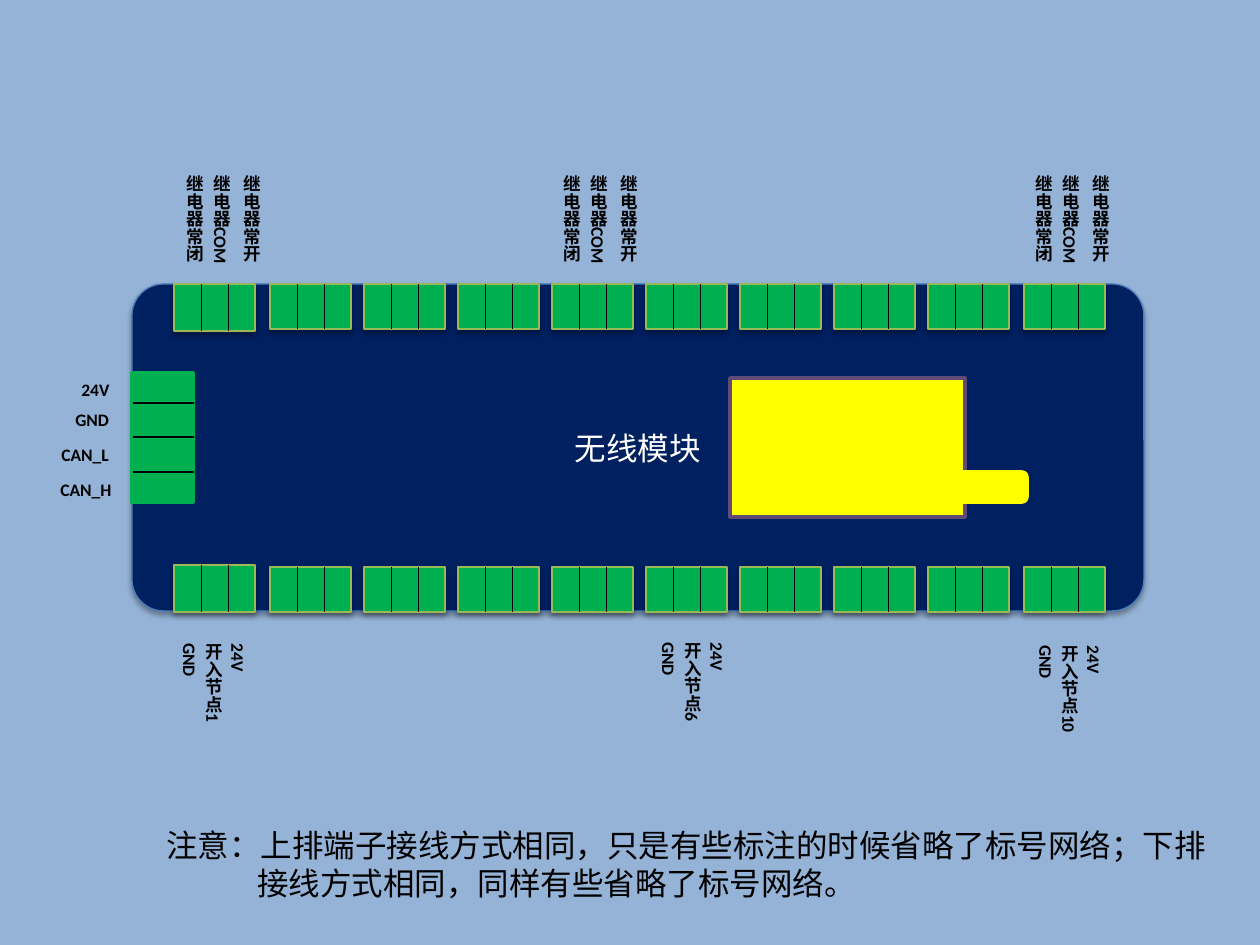
import dataclasses
import pptx
import pptx.dml.color
import pptx.enum.shapes
import pptx.enum.text
import pptx.oxml
import pptx.oxml.ns
import pptx.util

SCALE = 914400 // 126
SHAPE = pptx.enum.shapes.MSO_SHAPE
TEXT = pptx.enum.text


@dataclasses.dataclass(frozen=True)
class Theme:
    font: str = "Calibri"
    label_size: int = 10
    body_size: int = 18
    backdrop: str = "95B3D7"
    board: str = "002060"
    board_edge: str = "4B7EBC"
    terminal: str = "00B050"
    terminal_edge: str = "98B955"
    module: str = "FFFF00"
    module_edge: str = "5F4A78"
    ink: str = "000000"
    light: str = "FFFFFF"


THEME = Theme()


def px(value):
    return pptx.util.Emu(round(value * SCALE))


def rgb(value):
    return pptx.dml.color.RGBColor.from_string(value)


def assign(target, values):
    for name, value in values.items():
        setattr(target, name, value)


def add_effects(item, inner=""):
    namespace = pptx.oxml.ns.nsdecls("a")
    effects = pptx.oxml.parse_xml(f"<a:effectLst {namespace}>{inner}</a:effectLst>")
    item._element.spPr.append(effects)


def write(para, words, size, color, bold=False):
    span = para.add_run()
    span.text = words
    assign(span.font, {"name": THEME.font, "size": pptx.util.Pt(size), "bold": bold})
    span.font.color.rgb = rgb(color)


def add_block(shapes, kind, place, fill, edge, weight, shadow=False):
    block = shapes.add_shape(kind, *map(px, place))
    block.fill.solid()
    block.fill.fore_color.rgb = rgb(fill)
    block.line.color.rgb = rgb(edge)
    block.line.width = pptx.util.Pt(weight)
    if shadow:
        add_effects(
            block,
            '<a:outerShdw blurRad="39370" dist="22860" dir="5400000" rotWithShape="0">'
            '<a:srgbClr val="000000"><a:alpha val="35000"/></a:srgbClr></a:outerShdw>',
        )
    else:
        block.shadow.inherit = False
    return block


def add_divider(shapes, start, end, weight):
    divider = shapes.add_connector(
        pptx.enum.shapes.MSO_CONNECTOR.STRAIGHT, *map(px, start + end))
    divider.line.color.rgb = rgb(THEME.ink)
    divider.line.width = pptx.util.Pt(weight)
    add_effects(divider)


def add_text(shapes, place, lines, size, bold=False, vertical=False):
    box = shapes.add_textbox(*map(px, place))
    frame = box.text_frame
    assign(frame, {"word_wrap": False, "auto_size": TEXT.MSO_AUTO_SIZE.SHAPE_TO_FIT_TEXT})
    if vertical:
        frame._txBody.bodyPr.set("vert", "eaVert")
    for index, (words, margin) in enumerate(lines):
        para = frame.add_paragraph() if index else frame.paragraphs[0]
        if margin:
            para._p.get_or_add_pPr().set("marL", str(px(margin)))
        write(para, words, size, THEME.ink, bold)


def add_terminal(shapes, left, top, height):
    add_block(shapes, SHAPE.RECTANGLE, (left, top, 81, height),
              THEME.terminal, THEME.terminal_edge, 0.75, shadow=True)
    for x in (left + 27, left + 54):
        add_divider(shapes, (x, top), (x, top + height), 0.25)


def add_board(shapes):
    board = add_block(shapes, SHAPE.ROUNDED_RECTANGLE, (132, 284, 1012, 327),
                      THEME.board, THEME.board_edge, 0.75, shadow=True)
    board.adjustments[0] = 0.097 
    board.text_frame.vertical_anchor = TEXT.MSO_ANCHOR.MIDDLE
    para = board.text_frame.paragraphs[0]
    para.alignment = TEXT.PP_ALIGN.CENTER
    write(para, "无线模块", THEME.body_size, THEME.light)

    lefts = [174, *(270 + 94 * step for step in range(8)), 1024]
    for is_bottom in (False, True):
        for index, left in enumerate(lefts):
            height = 45 if index else 47
            add_terminal(shapes, left, 612 - height if is_bottom else 284, height)

    add_block(shapes, SHAPE.RECTANGLE, (132, 373, 61, 129),
              THEME.terminal, THEME.terminal, 2)
    for y in (403, 437, 472):
        add_divider(shapes, (133, y), (194, y), 0.75)
    add_block(shapes, SHAPE.RECTANGLE, (730, 378, 235, 139),
              THEME.module, THEME.module_edge, 2)
    add_block(shapes, SHAPE.ROUNDED_RECTANGLE, (958, 472, 69, 30),
              THEME.module, THEME.module, 2)


def add_columns(shapes, left, top, columns):
    group = shapes.add_group_shape().shapes
    for words, shift, height in columns:
        add_text(group, (left + shift, top, 47, height), [(words, 0)],
                 THEME.label_size, bold=True, vertical=True)


def add_labels(shapes):
    relay = [("继电器常闭", 0, 100), ("继电器COM", 27, 102), ("继电器常开", 57, 100)]
    for left in (164, 541, 1013):
        add_columns(shapes, left, 163, relay)
    for left, top, number, height in ((160, 631, 1, 92), (639, 630, 6, 92),
                                      (1016, 633, 10, 101)):
        add_columns(shapes, left, top, [
            ("GND", 0, 47), (f"开入节点{number}", 23, height), ("24V", 48, 42)])
    bus = shapes.add_group_shape().shapes
    for words, left, top, width in (("24V", 69, 373, 53), ("GND", 63, 403, 59),
                                    ("CAN_L", 49, 438, 73), ("CAN_H", 48, 473, 77)):
        add_text(bus, (left, top, width, 34), [(words, 0)], THEME.label_size, bold=True)


def main():
    deck = pptx.Presentation()
    assign(deck, {"slide_width": px(1260), "slide_height": px(945)})
    slide = deck.slides.add_slide(deck.slide_layouts[6])
    slide.background.fill.solid()
    slide.background.fill.fore_color.rgb = rgb(THEME.backdrop)
    add_board(slide.shapes.add_group_shape().shapes)
    add_labels(slide.shapes)
    add_text(slide.shapes, (154, 820, 1075, 89), [
        ("注意：上排端子接线方式相同，只是有些标注的时候省略了标号网络；下排", 0),
        ("接线方式相同，同样有些省略了标号网络。", 91),
    ], THEME.body_size)
    deck.save("out.pptx")


main()
